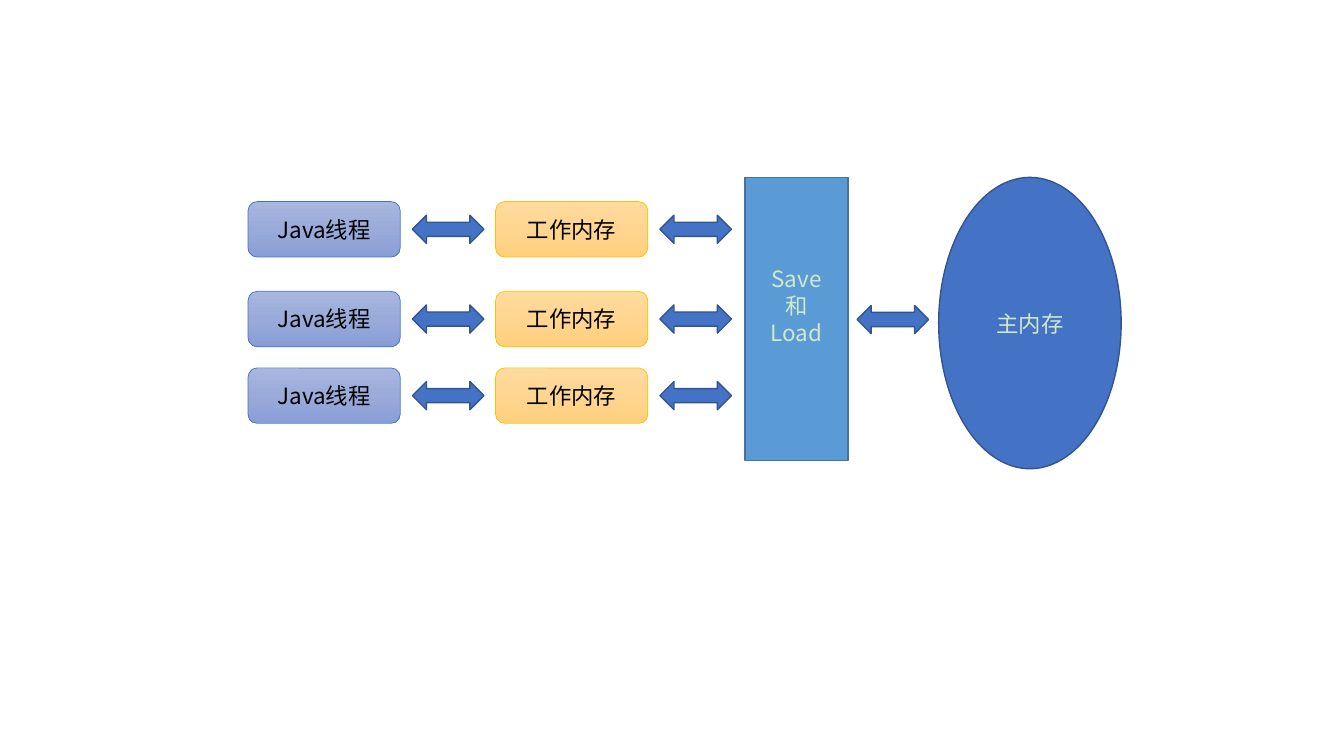
from copy import deepcopy
from pptx import Presentation
from pptx.dml.color import RGBColor
from pptx.enum.shapes import MSO_SHAPE
from pptx.enum.text import MSO_ANCHOR, PP_ALIGN
from pptx.oxml.ns import qn
from pptx.util import Inches, Pt

THEME = {
    "font": "Noto Sans CJK SC",
    "size": Pt(16),
    "thread": {"fill": ("A8B7DF", "9AABD9", "889ED7"), "line": "4472C4", "width": 0.5, "text": "000000"},
    "cache": {"fill": ("FFDB9E", "FFD590", "FFD07C"), "line": "FFC000", "width": 0.5, "text": "000000"},
    "bridge": {"fill": ("5B9BD5",), "line": "43739E", "width": 1, "text": "CEEACA"},
    "memory": {"fill": ("4472C4",), "line": "325491", "width": 1, "text": "CEEACA"},
}
ARROW_W, ARROW_H = 0.71, 0.28


def set_all(obj, values):
    """Set each attribute named in values on obj."""
    for name, value in values.items():
        setattr(obj, name, value)


def paint(sp, colours):
    """Fill a shape with one colour or an even top-down gradient."""
    if len(colours) == 1:
        sp.fill.solid()
        sp.fill.fore_color.rgb = RGBColor.from_string(colours[0])
        return
    sp.fill.gradient()
    sp.fill.gradient_angle = 270
    stops = sp._element.spPr.find(qn("a:gradFill")).find(qn("a:gsLst"))
    while len(stops) < len(colours):
        stops.append(deepcopy(stops[0]))
    for i, (stop, colour) in enumerate(zip(sp.fill.gradient_stops, colours)):
        stop.position = i / (len(colours) - 1)
        stop.color.rgb = RGBColor.from_string(colour)


def add_block(s, kind, box, style, lines=(), bottom=0.05):
    """Add a styled shape with centred lines of text."""
    look = THEME[style]
    sp = s.shapes.add_shape(kind, *map(Inches, box))
    sp.shadow.inherit = False
    paint(sp, look["fill"])
    sp.line.color.rgb = RGBColor.from_string(look["line"])
    sp.line.width = Pt(look["width"])
    tf = sp.text_frame
    set_all(tf, {"word_wrap": True, "vertical_anchor": MSO_ANCHOR.MIDDLE, "margin_bottom": Inches(bottom)})
    for i, text in enumerate(lines):
        p = tf.add_paragraph() if i else tf.paragraphs[0]
        p.alignment = PP_ALIGN.CENTER
        r = p.add_run()
        r.text = text
        set_all(r.font, {"name": THEME["font"], "size": THEME["size"]})
        r.font.color.rgb = RGBColor.from_string(look["text"])
        ea = r.font._element.makeelement(qn("a:ea"), {"typeface": THEME["font"]})
        r.font._element.find(qn("a:latin")).addnext(ea)


def add_arrow(s, x, middle):
    """Add a two-way arrow centred on a height."""
    box = (x, middle - ARROW_H / 2, ARROW_W, ARROW_H)
    add_block(s, MSO_SHAPE.LEFT_RIGHT_ARROW, box, "memory")


def add_thread_row(s, box):
    """Add a thread and its working memory, each followed by an arrow."""
    x, y, w, h = box
    pitch = w / 2
    cells = (("thread", "Java线程"), ("cache", "工作内存"))
    for i, (style, text) in enumerate(cells):
        left = x + i * pitch
        add_block(s, MSO_SHAPE.ROUNDED_RECTANGLE, (left, y, 1.51, h), style, (text,))
        add_arrow(s, left + 1.63, y + h / 2)


def add_main_memory(s, box):
    """Add the save and load bridge, an arrow and the main memory."""
    x, y, w, h = box
    add_block(s, MSO_SHAPE.RECTANGLE, (x, y, 1.02, h - 0.08), "bridge", ("Save", "和", "Load"), 0.32)
    add_arrow(s, x + 1.11, y + 1.41)
    add_block(s, MSO_SHAPE.OVAL, (x + w - 1.81, y, 1.81, h), "memory", ("主内存",))


def main():
    """Build the memory model slide and save it."""
    prs = Presentation()
    set_all(prs, {"slide_width": Inches(13.33), "slide_height": Inches(7.5)})
    s = prs.slides.add_slide(prs.slide_layouts[6])
    for top in (2, 2.89, 3.65):
        add_thread_row(s, (2.46, top, 4.91, 0.55))
    add_main_memory(s, (7.39, 1.76, 3.73, 2.89))
    prs.save("out.pptx")


main()
